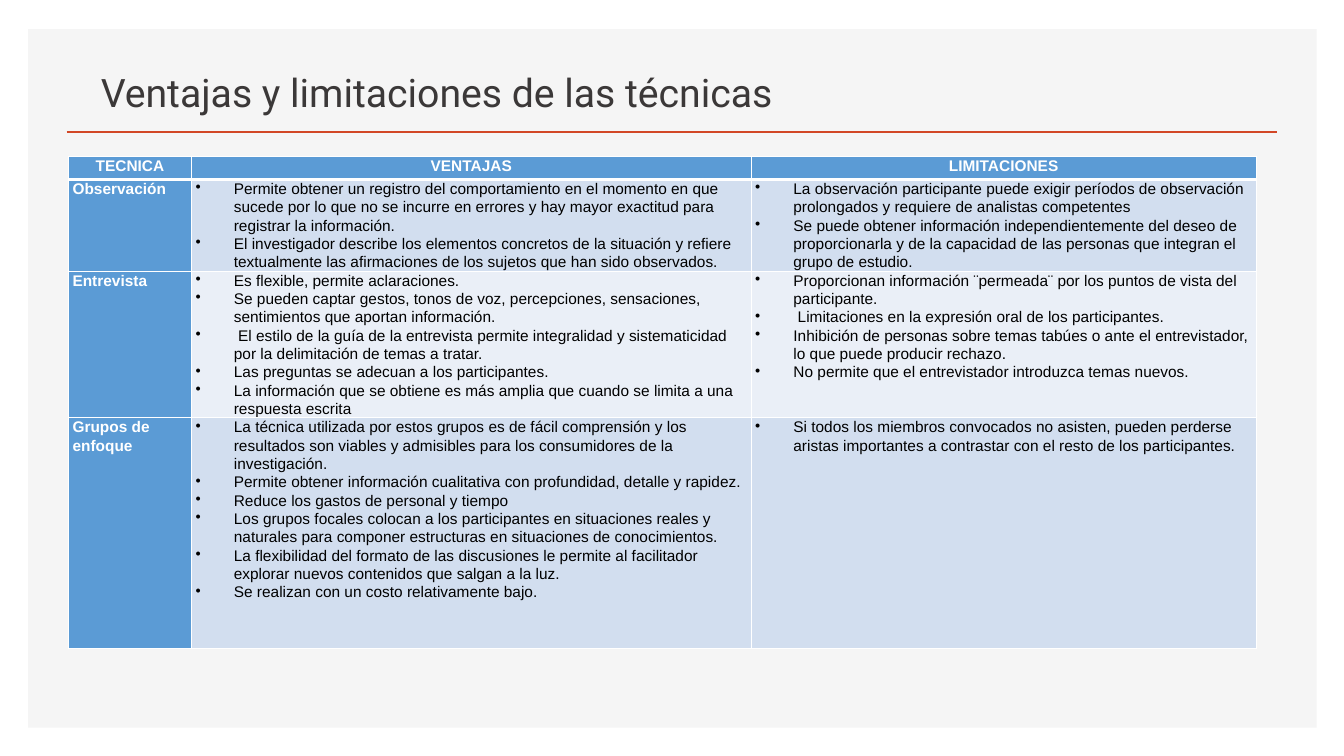
from lxml.etree import SubElement
from pptx import Presentation
from pptx.dml.color import RGBColor
from pptx.enum.shapes import MSO_CONNECTOR as Connector, MSO_SHAPE as Preset
from pptx.enum.text import MSO_ANCHOR as Anchor, PP_ALIGN as Align
from pptx.oxml.ns import qn
from pptx.util import Inches, Pt

HEADINGS = ["TECNICA", "VENTAJAS", "LIMITACIONES"]
TECHNIQUES = [
    ("Observación",
     ["Permite obtener un registro del comportamiento en el momento en que sucede por lo que no se "
      "incurre en errores y hay mayor exactitud para registrar la información.",
      "El investigador describe los elementos concretos de la situación y refiere textualmente las "
      "afirmaciones de los sujetos que han sido observados."],
     ["La observación participante puede exigir períodos de observación prolongados y requiere de "
      "analistas competentes",
      "Se puede obtener información independientemente del deseo de proporcionarla y de la capacidad "
      "de las personas que integran el grupo de estudio."]),
    ("Entrevista",
     ["Es flexible, permite aclaraciones.",
      "Se pueden captar gestos, tonos de voz, percepciones, sensaciones, sentimientos que aportan "
      "información.",
      " El estilo de la guía de la entrevista permite integralidad y sistematicidad por la "
      "delimitación de temas a tratar.",
      "Las preguntas se adecuan a los participantes.",
      "La información que se obtiene es más amplia que cuando se limita a una respuesta escrita"],
     ["Proporcionan información ¨permeada¨ por los puntos de vista del participante.",
      " Limitaciones en la expresión oral de los participantes.",
      "Inhibición de personas sobre temas tabúes o ante el entrevistador, lo que puede producir "
      "rechazo.",
      "No permite que el entrevistador introduzca temas nuevos."]),
    ("Grupos de enfoque",
     ["La técnica utilizada por estos grupos es de fácil comprensión y los resultados son viables y "
      "admisibles para los consumidores de la investigación.",
      "Permite obtener información cualitativa con profundidad, detalle y rapidez.",
      "Reduce los gastos de personal y tiempo",
      "Los grupos focales colocan a los participantes en situaciones reales y naturales para componer "
      "estructuras en situaciones de conocimientos.",
      "La flexibilidad del formato de las discusiones le permite al facilitador explorar nuevos "
      "contenidos que salgan a la luz.",
      "Se realizan con un costo relativamente bajo."],
     ["Si todos los miembros convocados no asisten, pueden perderse aristas importantes a contrastar "
      "con el resto de los participantes."]),
]
COLUMN_WIDTHS = [1.22, 5.55, 5.01]
ROW_HEIGHTS = [0.23, 0.87, 1.39, 2.29]


def color(hex_code):
    return RGBColor.from_string(hex_code)


def assign(target, values):
    for name, value in values.items():
        setattr(target, name, value)


class SlideBuilder:
    panel, accent, title_ink = "F5F5F5", "D24726", "3B3838"
    header, bands = "5B9BD5", ["D2DEEF", "EAEFF7"]
    white, black = "FFFFFF", "000000"
    title_font = {"name": "Roboto", "size": Pt(28), "bold": False}
    label_font = {"name": "Arial", "size": Pt(11), "bold": True}
    body_font = {**label_font, "bold": False}
    cell_margins = {"margin_left": Inches(0.04), "margin_right": Inches(0.04),
                    "margin_top": 0, "margin_bottom": 0}

    def __init__(self, presentation):
        self.slide = presentation.slides.add_slide(presentation.slide_layouts[5])
        self.shapes = self.slide.shapes

    def add_panel(self, left, top, width, height):
        shape = self.shapes.add_shape(Preset.RECTANGLE, *map(Inches, (left, top, width, height)))
        shape.shadow.inherit = False
        shape.fill.solid()
        shape.fill.fore_color.rgb = color(self.panel)
        shape.line.fill.background()

    def add_rule(self, left, right, top):
        rule = self.shapes.add_connector(Connector.STRAIGHT, *map(Inches, (left, top, right, top)))
        rule.line.color.rgb = color(self.accent)
        rule.line.width = Pt(2)
        SubElement(rule._element.spPr, qn("a:effectLst"))

    def place_title(self, text, left, top, width, height):
        """Fill the title placeholder and bring it in front of the panel."""
        title = self.shapes.title
        assign(title, {"left": Inches(left), "top": Inches(top),
                       "width": Inches(width), "height": Inches(height)})
        frame = title.text_frame
        frame.text = text
        assign(frame, {"vertical_anchor": Anchor.BOTTOM, "word_wrap": True})
        paragraph = frame.paragraphs[0]
        paragraph.alignment = Align.CENTER
        assign(paragraph.runs[0].font, self.title_font)
        paragraph.runs[0].font.color.rgb = color(self.title_ink)
        title._element.getparent().append(title._element)

    def set_borders(self, cell, **widths):
        properties = cell._tc.get_or_add_tcPr()
        for side in "LRTB":
            line = SubElement(properties, qn(f"a:ln{side}"), w=str(Pt(widths.get(side, 1))))
            fill = SubElement(line, qn("a:solidFill"))
            SubElement(fill, qn("a:srgbClr"), val=self.white)

    def fill_cell(self, cell, lines, fill, font, ink, align=Align.LEFT, bulleted=False):
        assign(cell, self.cell_margins)
        cell.fill.solid()
        cell.fill.fore_color.rgb = color(fill)
        cell.text_frame.text = "\n".join(lines)
        for paragraph in cell.text_frame.paragraphs:
            assign(paragraph, {"alignment": align, "line_spacing": 1.07, "space_after": Pt(0)})
            assign(paragraph.runs[0].font, font)
            paragraph.runs[0].font.color.rgb = color(ink)
            if bulleted:
                properties = paragraph._p.get_or_add_pPr()
                properties.set("marL", str(Inches(0.38)))
                properties.set("indent", str(Inches(-0.38)))
                SubElement(properties, qn("a:buChar"), char="•")
        paragraph.space_after = Pt(8)

    def add_comparison(self, left, top):
        frame = self.shapes.add_table(
            len(ROW_HEIGHTS), len(COLUMN_WIDTHS), Inches(left), Inches(top),
            Inches(sum(COLUMN_WIDTHS)), Inches(sum(ROW_HEIGHTS)))
        table = frame.table
        for column, width in zip(table.columns, COLUMN_WIDTHS):
            column.width = Inches(width)
        for row, height in zip(table.rows, ROW_HEIGHTS):
            row.height = Inches(height)
        for index, heading in enumerate(HEADINGS):
            cell = table.cell(0, index)
            self.set_borders(cell, B=3)
            self.fill_cell(cell, [heading], self.header, self.label_font, self.white, Align.CENTER)
        for row, (technique, *lists) in enumerate(TECHNIQUES, 1):
            for cell in table.rows[row].cells:
                self.set_borders(cell, T=3 if row == 1 else 1)
            self.fill_cell(table.cell(row, 0), [technique], self.header, self.label_font, self.white)
            for column, lines in enumerate(lists, 1):
                self.fill_cell(table.cell(row, column), lines, self.bands[(row - 1) % 2],
                               self.body_font, self.black, bulleted=True)


def main():
    presentation = Presentation()
    assign(presentation, {"slide_width": Inches(13.33), "slide_height": Inches(7.5)})
    builder = SlideBuilder(presentation)
    builder.add_panel(0.28, 0.29, 12.78, 6.93)
    builder.add_rule(0.66, 12.67, 1.31)
    builder.place_title("Ventajas y limitaciones de las técnicas", 0.57, 0.49, 7.52, 0.7)
    builder.add_comparison(0.68, 1.55)
    presentation.save("out.pptx")


if __name__ == "__main__":
    main()
